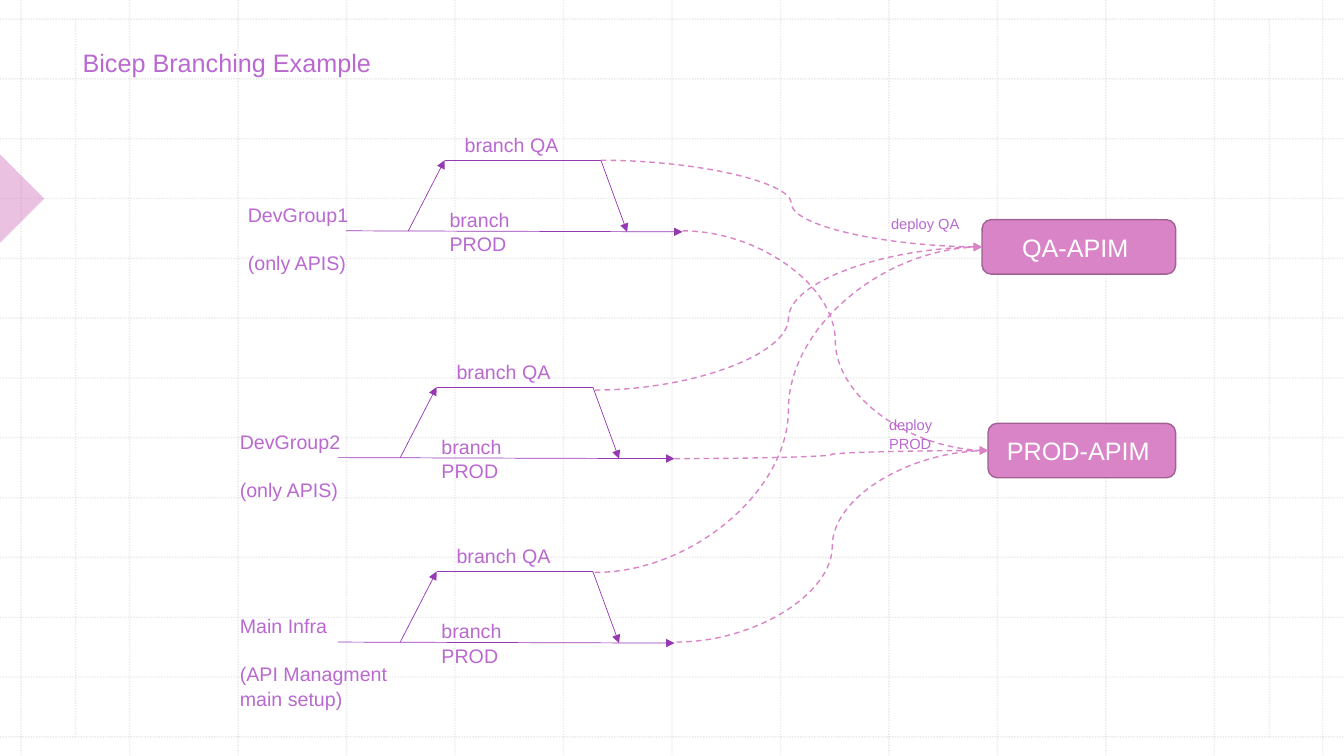
from pptx import Presentation
from pptx.dml.color import RGBColor
from pptx.enum.dml import MSO_LINE as Dash
from pptx.enum.shapes import MSO_CONNECTOR as Link, MSO_SHAPE as Shape
from pptx.enum.text import MSO_ANCHOR as Anchor, PP_ALIGN as Align
from pptx.oxml.ns import qn
from pptx.util import Inches, Pt
from lxml.etree import SubElement

WIDE, HIGH = 13.33, 7.5
GRID, PINK, EDGE = "BCBCBC", "D884C7", "A06293"
PURPLE, LILAC, WHITE = "9738B3", "B969D0", "FFFFFF"
TITLE = ("Bicep Branching Example", 0.72, 0.41, 3.11, 0.4)
GROUPS = [
    (3.43, 2.29, 1.2, 0.81, ["DevGroup1", "(only APIS)"]),
    (3.35, 4.54, 1.2, 0.81, ["DevGroup2", "(only APIS)"]),
    (3.35, 6.37, 1.72, 1.04, ["Main Infra", "(API Managment", "main setup)"]),
]
TRACKS = [
    (0, 0, 3.34, 0.01, True),
    (0.98, -0.7, 2.53, -0.7, False),
    (0.62, 0, 0.98, -0.7, True),
    (2.53, -0.7, 2.79, 0.01, True),
]
TARGETS = [
    ("QA-APIM ", 9.74, 2.18, 1.92, 0.54,
     [(5.96, 1.59), (5.9, 3.87), (5.9, 5.68)]),
    ("PROD-APIM ", 9.8, 4.2, 1.86, 0.54,
     [(6.77, 2.29), (6.69, 4.55), (6.71, 6.37)]),
]
DEPLOYS = [
    ("deploy QA", 8.74, 2.07, 0.88, 0.28, False),
    ("deploy PROD", 8.72, 4.07, 1.07, 0.28, True),
]

deck = Presentation()
deck.slide_width, deck.slide_height = Inches(WIDE), Inches(HIGH)
slide = deck.slides.add_slide(deck.slide_layouts[6])
shapes = slide.shapes


def paint(color, code, alpha=None):
    color.rgb = RGBColor.from_string(code)
    if alpha:
        node = color._xFill.find(qn("a:srgbClr"))
        SubElement(node, qn("a:alpha")).set("val", str(alpha * 1000))


def line(x1, y1, x2, y2, code, width, kind=Link.STRAIGHT,
         dash=None, head=False, alpha=None):
    link = shapes.add_connector(kind, *map(Inches, (x1, y1, x2, y2)))
    link.line.fill.solid()
    paint(link.line.color, code, alpha)
    link.line.width = Pt(width)
    if dash:
        link.line.dash_style = dash
    if head:
        SubElement(link.line._get_or_add_ln(), qn("a:tailEnd")).set("type", "triangle")
    SubElement(link._element.spPr, qn("a:effectLst"))


def style(para, size, code):
    for run in para.runs:
        run.font.name = "Arial"
        run.font.size = Pt(size)
        paint(run.font.color, code)


def label(lines, x, y, w, h, size, wrap=False):
    frame = shapes.add_textbox(*map(Inches, (x, y, w, h))).text_frame
    frame.word_wrap = wrap
    frame.text = "\n".join(lines)
    for para in frame.paragraphs:
        para.line_spacing = 1.05
        style(para, size, LILAC)
    if len(lines) > 1:
        frame.paragraphs[1].space_before = Pt(16.9)


def block(kind, x, y, w, h, alpha=None):
    shape = shapes.add_shape(kind, *map(Inches, (x, y, w, h)))
    shape.shadow.inherit = False
    shape.fill.solid()
    paint(shape.fill.fore_color, PINK, alpha)
    return shape


def rule(x1, y1, x2, y2):
    line(x1, y1, x2, y2, GRID, 1, dash=Dash.ROUND_DOT, alpha=30)


for i in range(13):
    x = 0.21 + i * (13.12 - 0.21) / 12
    y = 0.19 + i * (7.31 - 0.19) / 12
    rule(x, 0, x, HIGH)
    rule(0, y, WIDE, y)
for x in (0.75, 12.59):
    rule(x, 0.19, x, 7.31)

wedge = block(Shape.RIGHT_TRIANGLE, -0.31, 1.66, 0.62, 0.62, 50)
wedge.line.fill.background()
wedge.rotation = 225

for x, y, w, h, names in GROUPS:
    for x1, y1, x2, y2, head in TRACKS:
        line(x + x1, y + y1, x + x2, y + y2, PURPLE, 0.5, head=head)
    label(names, x - 1.07, y - 0.34, w, h, 14)
    label(["branch QA"], x + 1.08, y - 1.03, 1.15, 0.34, 14)
    label(["branch PROD"], x + 0.93, y - 0.29, 1.39, 0.34, 14, True)

for name, x, y, w, h, starts in TARGETS:
    box = block(Shape.ROUNDED_RECTANGLE, x, y, w, h)
    paint(box.line.color, EDGE)
    box.line.width = Pt(1)
    frame = box.text_frame
    frame.text = name
    frame.vertical_anchor = Anchor.MIDDLE
    frame.paragraphs[0].alignment = Align.CENTER
    style(frame.paragraphs[0], 18, WHITE)
    for x1, y1 in starts:
        line(x1, y1, x, y + h / 2, PINK, 1, Link.CURVE, Dash.DASH, True)

for name, x, y, w, h, wrap in DEPLOYS:
    label([name], x, y, w, h, 10.5, wrap)
name, *place = TITLE
label([name], *place, 18)

deck.save("out.pptx")
